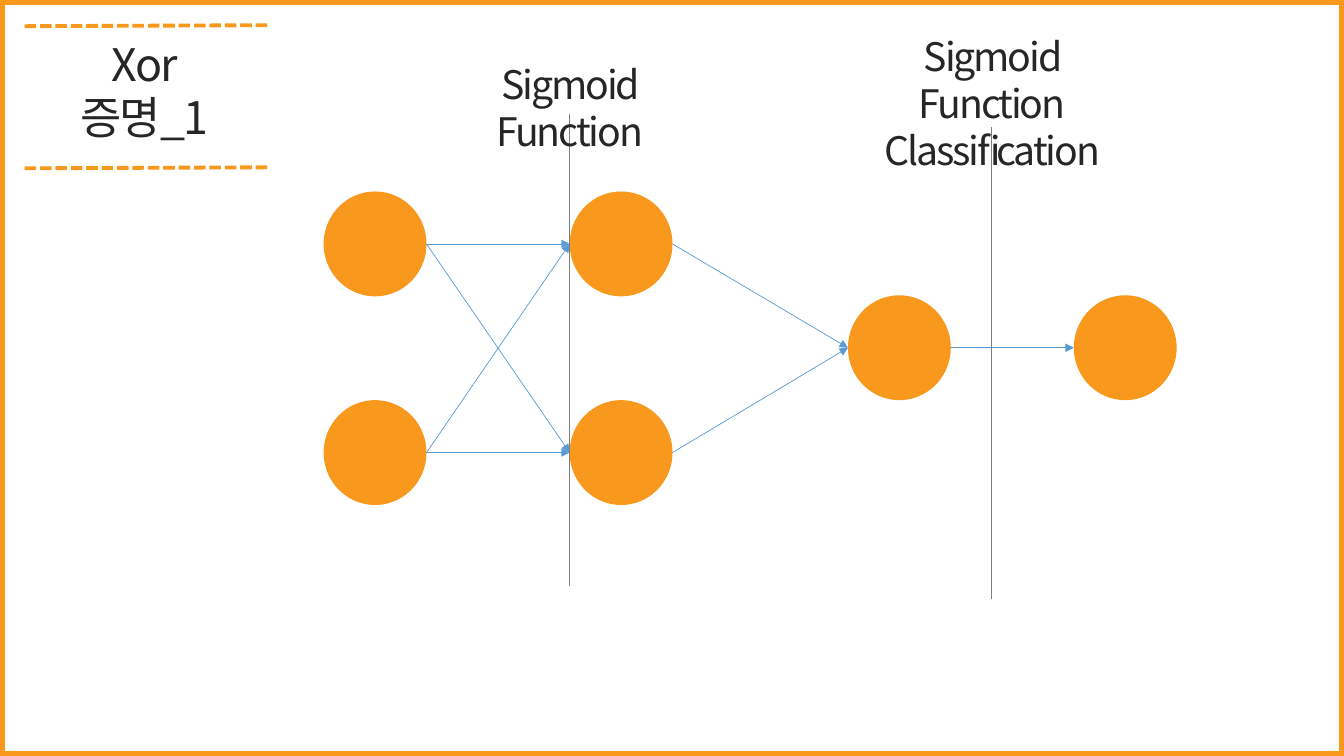
from lxml import etree
from pptx import Presentation
from pptx.dml.color import RGBColor
from pptx.enum.dml import MSO_LINE
from pptx.enum.shapes import MSO_CONNECTOR, MSO_SHAPE
from pptx.enum.text import MSO_ANCHOR, MSO_AUTO_SIZE, PP_ALIGN
from pptx.oxml.ns import qn
from pptx.util import Inches, Pt

STRAIGHT = MSO_CONNECTOR.STRAIGHT
RECT, OVAL = MSO_SHAPE.RECTANGLE, MSO_SHAPE.OVAL
DASH = MSO_LINE.SQUARE_DOT
TOP, CENTER = MSO_ANCHOR.TOP, PP_ALIGN.CENTER
GROW = MSO_AUTO_SIZE.SHAPE_TO_FIT_TEXT

ORANGE = RGBColor(0xF8, 0x98, 0x1D)
BLUE = RGBColor(0x5B, 0x9B, 0xD5)
GRAY = RGBColor(0x7F, 0x7F, 0x7F)
DARK = RGBColor(0x26, 0x26, 0x26)
FONT = "Noto Sans CJK KR"

prs = Presentation()
prs.slide_width, prs.slide_height = Inches(13.33), Inches(7.5)
s = prs.slides.add_slide(prs.slide_layouts[5])


def add_line(start, end, color, width):
    c = s.shapes.add_connector(STRAIGHT, *(Inches(v) for v in start + end))
    c.line.color.rgb = color
    c.line.width = Pt(width)
    etree.SubElement(c._element.spPr, qn("a:effectLst"))
    return c


def write_lines(sp, lines, size):
    tf = sp.text_frame
    tf.word_wrap = True
    tf.auto_size = GROW
    tf.vertical_anchor = TOP
    for i, text in enumerate(lines):
        p = tf.add_paragraph() if i else tf.paragraphs[0]
        p.alignment = CENTER
        r = p.add_run()
        r.text = text
        r.font.size = Pt(size)
        r.font.name = FONT
        r.font.color.rgb = DARK
        rPr = r.font._element
        rPr.set("spc", "-150")
        etree.SubElement(rPr, qn("a:ea")).set("typeface", FONT)


# Slide frame
frame = s.shapes.add_shape(RECT, Inches(0.02), Inches(0.02), Inches(13.29), Inches(7.46))
frame.shadow.inherit = False
frame.fill.background()
frame.line.color.rgb = ORANGE
frame.line.width = Pt(3.75)

# Title between two dashed rules
for y in (1.66, 0.25):
    add_line((2.65, y), (0.23, y + 0.01), ORANGE, 2.75).line.dash_style = DASH
title = s.shapes.title
title.left, title.top, title.width, title.height = (Inches(v) for v in (0.15, 0.31, 2.57, 1.18))
write_lines(title, ["Xor", "증명_1"], 32)

# Network nodes, layer by layer: left edge and vertical centres
NODE_W, NODE_H = 1.02, 1.04
UPPER, MIDDLE, LOWER = 2.42, 3.45, 4.49
layers = [(3.21, (UPPER, LOWER)), (5.65, (UPPER, LOWER)), (8.41, (MIDDLE,)), (10.65, (MIDDLE,))]
for x, centres in layers:
    for y in centres:
        node = s.shapes.add_shape(OVAL, Inches(x), Inches(y - NODE_H / 2),
                                  Inches(NODE_W), Inches(NODE_H))
        node.shadow.inherit = False
        node.fill.solid()
        node.fill.fore_color.rgb = ORANGE
        node.line.fill.background()

# Arrows from every node to every node of the next layer
for (x1, sources), (x2, targets) in zip(layers, layers[1:]):
    for y1 in sources:
        for y2 in targets:
            arrow = add_line((x1 + NODE_W, y1), (x2, y2), BLUE, 0.5)
            etree.SubElement(arrow.line._get_or_add_ln(), qn("a:tailEnd")).set("type", "triangle")

# Function markers: line x and top, label left, top, height and lines
markers = [
    (5.65, 1.13, 4.15, 0.55, 0.57, ["Sigmoid Function"]),
    (9.83, 1.26, 8.34, 0.27, 1.04, ["Sigmoid Function", "Classification"]),
]
for x, y, left, top, height, lines in markers:
    add_line((x, y), (x, y + 4.68), GRAY, 0.5)
    label = s.shapes.add_textbox(Inches(left), Inches(top), Inches(3), Inches(height))
    write_lines(label, lines, 28)

prs.save("out.pptx")
